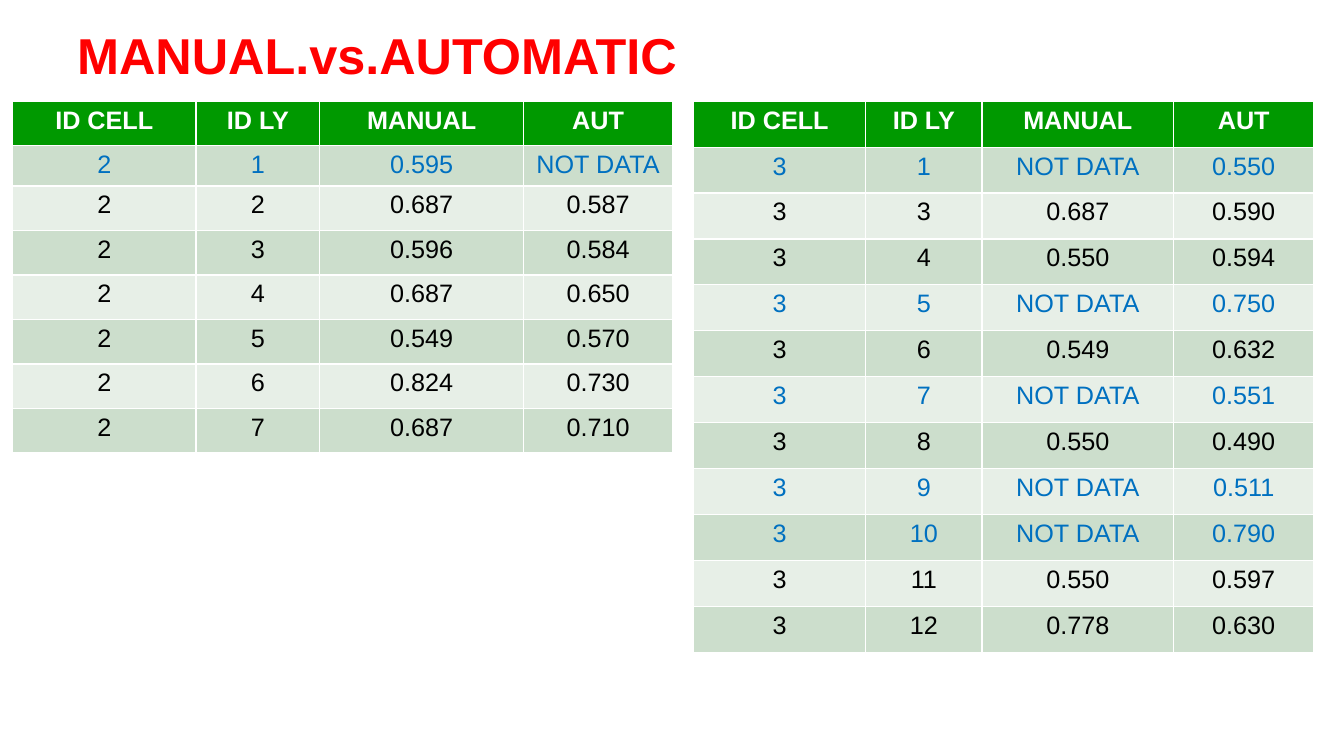
from pptx import Presentation
from pptx.dml.color import RGBColor
from pptx.enum.text import MSO_ANCHOR as Anchor, PP_ALIGN as Align
from pptx.util import Pt

RED = RGBColor(0xFF, 0x00, 0x00)
GREEN = RGBColor(0x00, 0x99, 0x00)
SAGE = RGBColor(0xCC, 0xDE, 0xCC)
PALE = RGBColor(0xE7, 0xEF, 0xE7)
BLUE = RGBColor(0x00, 0x70, 0xC0)
BLACK = RGBColor(0x00, 0x00, 0x00)
WHITE = RGBColor(0xFF, 0xFF, 0xFF)

NONE = "NOT DATA"
HEAD = ("ID CELL", "ID LY", "MANUAL", "AUT")
CELL_2 = [
    ("2", "1", "0.595", NONE),
    ("2", "2", "0.687", "0.587"),
    ("2", "3", "0.596", "0.584"),
    ("2", "4", "0.687", "0.650"),
    ("2", "5", "0.549", "0.570"),
    ("2", "6", "0.824", "0.730"),
    ("2", "7", "0.687", "0.710"),
]
CELL_3 = [
    ("3", "1", NONE, "0.550"),
    ("3", "3", "0.687", "0.590"),
    ("3", "4", "0.550", "0.594"),
    ("3", "5", NONE, "0.750"),
    ("3", "6", "0.549", "0.632"),
    ("3", "7", NONE, "0.551"),
    ("3", "8", "0.550", "0.490"),
    ("3", "9", NONE, "0.511"),
    ("3", "10", NONE, "0.790"),
    ("3", "11", "0.550", "0.597"),
    ("3", "12", "0.778", "0.630"),
]


def write(frame, text, font="Arial", size=18, color=BLACK, bold=False, align=Align.CENTER):
    para = frame.paragraphs[0]
    para.alignment = align
    run = para.add_run()
    run.text = text
    run.font.name = font
    run.font.size = Pt(size)
    run.font.bold = bold
    run.font.color.rgb = color


class Deck:
    """Hold the text style and the current slide, and draw its elements."""

    def __init__(self, font="Arial"):
        self.font = font
        self.show = Presentation()
        self.show.slide_width, self.show.slide_height = Pt(960), Pt(540)
        self.slide = self.show.slides.add_slide(self.show.slide_layouts[6])

    def title(self, text, left, top, width, height):
        box = self.slide.shapes.add_textbox(Pt(left), Pt(top), Pt(width), Pt(height))
        frame = box.text_frame
        frame.word_wrap = True
        frame.vertical_anchor = Anchor.MIDDLE
        write(frame, text, font=self.font, size=36, color=RED, bold=True, align=Align.LEFT)

    def table(self, data, left, top, widths, heights):
        rows = [HEAD, *data]
        grid = self.slide.shapes.add_table(
            len(rows), len(widths), Pt(left), Pt(top), Pt(sum(widths)), Pt(sum(heights))
        ).table
        for col, width in zip(grid.columns, widths):
            col.width = Pt(width)
        for i, (row, texts, height) in enumerate(zip(grid.rows, rows, heights)):
            row.height = Pt(height)
            if i == 0:
                fill, color = GREEN, WHITE
            else:
                fill = SAGE if i % 2 else PALE
                color = BLUE if NONE in texts else BLACK
            for cell, text in zip(row.cells, texts):
                cell.fill.solid()
                cell.fill.fore_color.rgb = fill
                write(cell.text_frame, text, font=self.font, color=color, bold=i == 0)

    def save(self):
        self.show.save("out.pptx")


def main():
    deck = Deck()
    deck.title("MANUAL.vs.AUTOMATIC", 48, 15.5, 864, 46)
    deck.table(CELL_2, 9, 72.3, (131, 88.5, 145.5, 106.5), [31.8, 26] + [31.8] * 6)
    deck.table(CELL_3, 495.4, 72.3, (123, 83, 137, 100), [32.8] * 12)
    deck.save()


if __name__ == "__main__":
    main()
